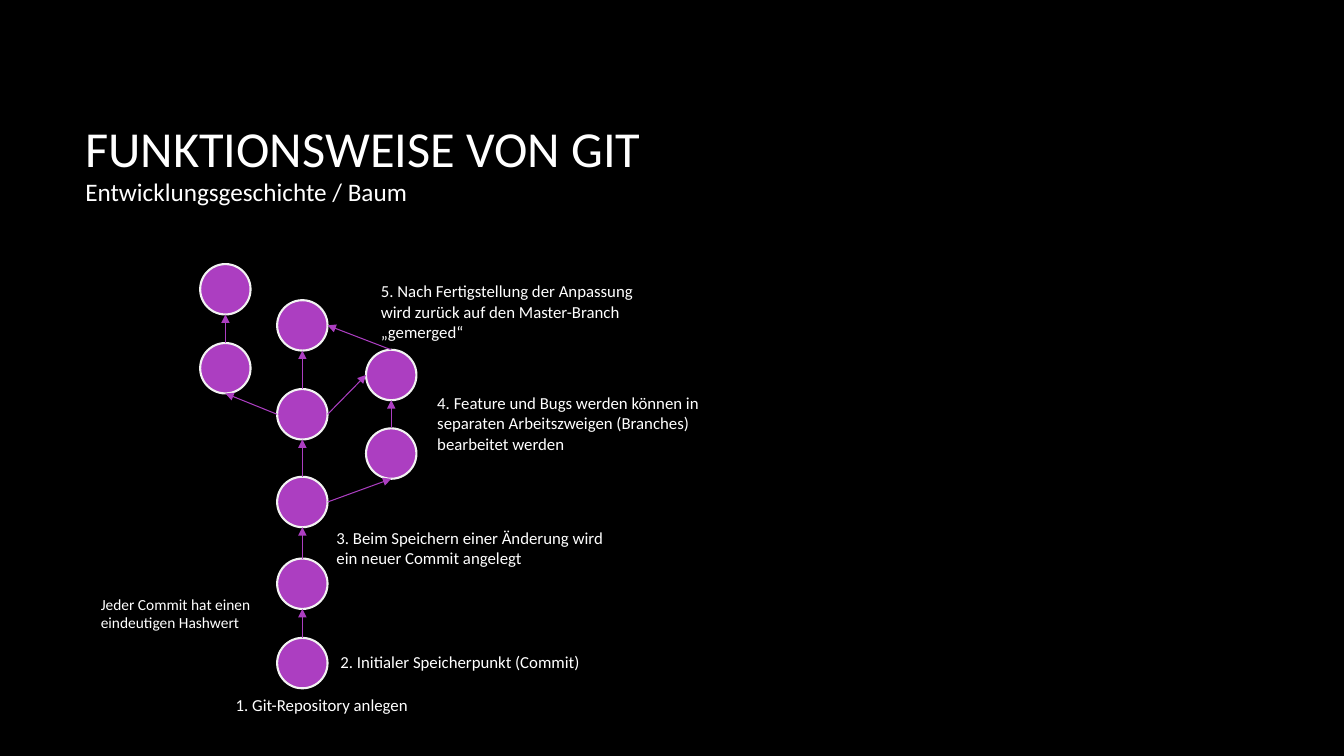
from dataclasses import dataclass

from lxml.etree import SubElement
from pptx import Presentation
from pptx.dml.color import RGBColor as Rgb
from pptx.enum.shapes import MSO_CONNECTOR as Connector, MSO_SHAPE as Shape
from pptx.enum.text import MSO_ANCHOR as Anchor
from pptx.oxml.ns import qn
from pptx.util import Cm, Pt


@dataclass(frozen=True)
class Theme:
    """Colours, type sizes and line widths of the slide."""
    font: str = "Calibri"
    background: Rgb = Rgb(0, 0, 0)
    text: Rgb = Rgb(255, 255, 255)
    accent: Rgb = Rgb(0xAC, 0x3E, 0xC1)
    outline: Rgb = Rgb(0xF2, 0xF2, 0xF2)
    title: int = 36
    subtitle: int = 18
    step: int = 12
    remark: int = 11
    outline_width: float = 1.5
    arrow_width: float = 0.75


DIAMETER = 1.27
TRUNK, HOTFIX, FEATURE = 7.62, 5.68, 9.86
COMMITS = {
    "initial": (TRUNK, 16.71),
    "change": (TRUNK, 14.71),
    "fork": (TRUNK, 12.65),
    "hub": (TRUNK, 10.44),
    "merge": (TRUNK, 8.2),
    "feature start": (FEATURE, 11.43),
    "feature end": (FEATURE, 9.45),
    "hotfix start": (HOTFIX, 9.28),
    "hotfix end": (HOTFIX, 7.29),
}
SIDES = {"top": (0, -0.5), "bottom": (0, 0.5), "left": (-0.5, 0), "right": (0.5, 0)}
HISTORY = [
    ("initial", "top", "change", "bottom"),
    ("change", "top", "fork", "bottom"),
    ("fork", "top", "hub", "bottom"),
    ("hub", "top", "merge", "bottom"),
    ("fork", "right", "feature start", "bottom"),
    ("feature start", "top", "feature end", "bottom"),
    ("feature end", "top", "merge", "right"),
    ("hub", "right", "feature end", "left"),
    ("hub", "left", "hotfix start", "bottom"),
    ("hotfix start", "top", "hotfix end", "bottom"),
]
STEPS = [
    ("1. Git-Repository anlegen", 5.69, 17.37, 5.13, 0.77),
    ("2. Initialer Speicherpunkt (Commit)", 8.33, 16.31, 7.65, 0.77),
    ("3. Beim Speichern einer Änderung wird ein neuer Commit angelegt",
     8.23, 13.18, 7.65, 1.28),
    ("4. Feature und Bugs werden können in separaten Arbeitszweigen (Branches) "
     "bearbeitet werden", 10.77, 9.78, 7.65, 1.8),
    ("5. Nach Fertigstellung der Anpassung wird zurück auf den Master-Branch "
     "„gemerged“", 9.35, 6.96, 7.65, 1.8),
]


class HistorySlide:
    """Draws commits, arrows and labels on one slide in one style."""

    def __init__(self, slide, theme):
        """Keep the slide and theme and paint the background."""
        self.shapes, self.theme = slide.shapes, theme
        slide.background.fill.solid()
        slide.background.fill.fore_color.rgb = theme.background

    def label(self, wording, left, top, width, height, size, anchor=Anchor.TOP):
        """Add a wrapped text box."""
        box = self.shapes.add_textbox(Cm(left), Cm(top), Cm(width), Cm(height))
        frame = box.text_frame
        for name, value in {"word_wrap": True, "vertical_anchor": anchor}.items():
            setattr(frame, name, value)
        run = frame.paragraphs[0].add_run()
        run.text = wording
        for name, value in {"name": self.theme.font, "size": Pt(size)}.items():
            setattr(run.font, name, value)
        run.font.color.rgb = self.theme.text

    def commit(self, x, y):
        """Add a commit circle centred on a point."""
        circle = self.shapes.add_shape(
            Shape.OVAL, Cm(x - DIAMETER / 2), Cm(y - DIAMETER / 2),
            Cm(DIAMETER), Cm(DIAMETER))
        circle.shadow.inherit = False
        circle.fill.solid()
        circle.fill.fore_color.rgb = self.theme.accent
        circle.line.color.rgb = self.theme.outline
        circle.line.width = Pt(self.theme.outline_width)

    def arrow(self, start, end):
        """Add an arrow between two points."""
        link = self.shapes.add_connector(
            Connector.STRAIGHT, *(Cm(length) for length in (*start, *end)))
        link.line.color.rgb = self.theme.accent
        link.line.width = Pt(self.theme.arrow_width)
        SubElement(link.line._get_or_add_ln(), qn("a:tailEnd"), type="triangle")
        SubElement(link._element.spPr, qn("a:effectLst"))


def rim(commit, side):
    """Return the point in the middle of one side of a commit."""
    (x, y), (dx, dy) = COMMITS[commit], SIDES[side]
    return x + dx * DIAMETER, y + dy * DIAMETER


def main():
    """Build and save the presentation."""
    deck = Presentation()
    deck.slide_width, deck.slide_height = Cm(33.87), Cm(19.05)
    theme = Theme()
    history = HistorySlide(deck.slides.add_slide(deck.slide_layouts[6]), theme)
    history.label("FUNKTIONSWEISE VON GIT", 1.9, 1.7, 28.14, 4.04,
                  theme.title, Anchor.MIDDLE)
    history.label("Entwicklungsgeschichte / Baum", 1.9, 4.32, 11.48, 1.02,
                  theme.subtitle)
    for center in COMMITS.values():
        history.commit(*center)
    for parent, exit_side, child, entry_side in HISTORY:
        history.arrow(rim(parent, exit_side), rim(child, entry_side))
    for step in STEPS:
        history.label(*step, theme.step)
    history.label("Jeder Commit hat einen eindeutigen Hashwert",
                  2.29, 14.86, 4.37, 1.19, theme.remark)
    deck.save("out.pptx")


if __name__ == "__main__":
    main()
